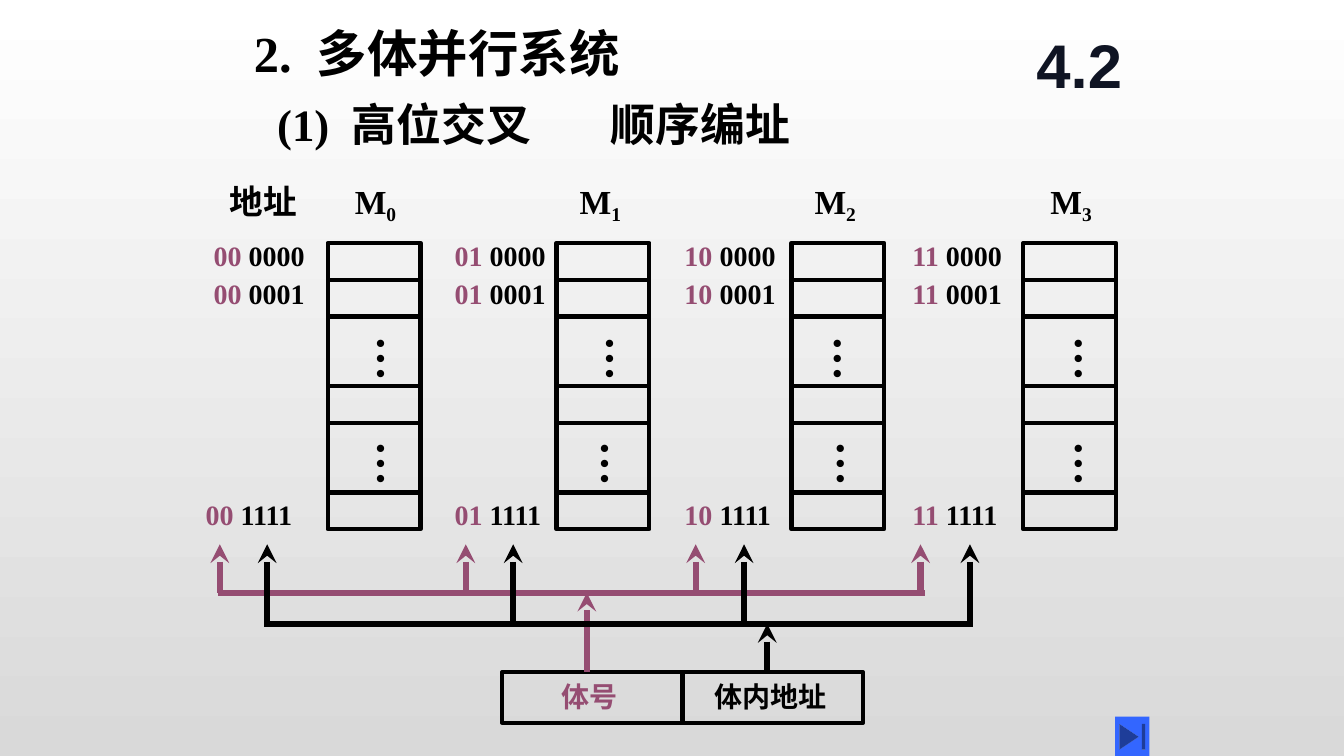
import pptx
import pptx.dml.color
import pptx.enum.shapes
import pptx.enum.text
import pptx.oxml.ns
import pptx.util
from lxml import etree

Inches = pptx.util.Inches
SHAPES = pptx.enum.shapes.MSO_SHAPE
ALIGN = pptx.enum.text.PP_ALIGN
ANCHOR = pptx.enum.text.MSO_ANCHOR
AUTO_SIZE = pptx.enum.text.MSO_AUTO_SIZE

# Content
BLACK, PURPLE, NAVY, BLUE = "000000", "954D72", "0F1423", "3366FF"
SERIF, SANS = "Times New Roman", "Arial"

HEADINGS = [  # number, title, left, top, width, height, size
    ("2.", "多体并行系统", 2.42, 0.17, 4, 0.71, 36),
    ("(1)", "高位交叉", 2.65, 0.91, 5.91, 0.64, 32),
]
BANKS = [  # bank number, label left, cells left, left of each ellipsis
    ("0", 3.42, 3.25, (3.5, 3.5)),
    ("1", 5.65, 5.52, (5.77, 5.72)),
    ("2", 7.98, 7.85, (8.03, 8.06)),
    ("3", 10.32, 10.15, (10.42, 10.42)),
]
CELL_TOP, CELL_WIDTH = 2.41, 0.92
CELL_HEIGHTS = [0.365, 0.365, 0.69, 0.365, 0.69, 0.365]
ELLIPSIS_TOPS = [3.24, 4.28]

ADDRESS_ROWS = [(" 0000", 2.32), (" 0001", 2.69), (" 1111", 4.89)]
ADDRESS_COLUMNS = [  # bank bits, left of each row
    ("00", (2.02, 2.02, 1.94)),
    ("01", (4.41, 4.41, 4.41)),
    ("10", (6.69, 6.69, 6.69)),
    ("11", (8.95, 8.95, 8.95)),
]
FIELDS = [  # text, colour, box left, text left, text width
    ("体号", PURPLE, 4.98, 5.47, 0.76),
    ("体内地址", BLACK, 6.77, 6.99, 1.31),
]
BUSES = [  # colour, height, left end, right end, arrows up, feed from the field
    (PURPLE, 5.88, 2.16, 9.17, (2.18, 4.62, 6.9, 9.13), 5.82),
    (BLACK, 6.19, 2.62, 9.65, (2.65, 5.09, 7.38, 9.62), 7.61),
]
ARROW_TOP, FIELD_TOP = 5.4, 6.67


# Helpers
def color(code):
    return pptx.dml.color.RGBColor.from_string(code)


def add_text(spans, left, top, width, height, size, font=SERIF, wrap=True):
    """Add one line of bold text; spans are (text, colour) pairs."""
    box = slide.shapes.add_textbox(Inches(left), Inches(top), Inches(width), Inches(height))
    frame = box.text_frame
    frame.word_wrap = wrap
    frame.auto_size = AUTO_SIZE.SHAPE_TO_FIT_TEXT
    for text, code in spans:
        span = frame.paragraphs[0].add_run()
        span.text = text
        span.font.size = pptx.util.Pt(size)
        span.font.name = font
        span.font.bold = True
        span.font.color.rgb = color(code)
    return frame


def add_box(left, top, width, height):
    box = slide.shapes.add_shape(
        SHAPES.RECTANGLE, Inches(left), Inches(top), Inches(width), Inches(height))
    box.shadow.inherit = False
    box.fill.background()
    box.line.color.rgb = color(BLACK)
    box.line.width = pptx.util.Pt(3)


def add_line(x1, y1, x2, y2, code, arrow=False):
    line = slide.shapes.add_connector(
        pptx.enum.shapes.MSO_CONNECTOR.STRAIGHT,
        Inches(x1), Inches(y1), Inches(x2), Inches(y2))
    line.line.color.rgb = color(code)
    line.line.width = pptx.util.Pt(4.5)
    if arrow:
        head = etree.SubElement(line.line._get_or_add_ln(), pptx.oxml.ns.qn("a:headEnd"))
        head.set("type", "stealth")
    etree.SubElement(line._element.spPr, pptx.oxml.ns.qn("a:effectLst"))


# Slide and background
deck = pptx.Presentation()
deck.slide_width, deck.slide_height = Inches(13.33), Inches(7.5)
slide = deck.slides.add_slide(deck.slide_layouts[6])
background = slide.background.fill
background.gradient()
background.gradient_angle = 270
for stop, code in zip(background.gradient_stops, ("FFFFFF", "D9D9D9")):
    stop.color.rgb = color(code)

# Headings, with a widened space after the number
for number, title, left, top, width, height, size in HEADINGS:
    frame = add_text([(number, BLACK), (" ", BLACK), (title, BLACK)],
                     left, top, width, height, size)
    gap = frame.paragraphs[0].runs[1]
    gap._r.get_or_add_rPr().set("spc", str(size * 25))
add_text([("顺序编址", BLACK)], 5.96, 0.91, 5.91, 0.64, 32)
frame = add_text([("4.2", NAVY)], 10.08, 0.17, 1.25, 0.92, 44, SANS)
frame.auto_size = AUTO_SIZE.NONE
frame.vertical_anchor = ANCHOR.MIDDLE
frame.paragraphs[0].alignment = ALIGN.CENTER

# Memory banks
for number, label_left, cell_left, ellipsis_lefts in BANKS:
    frame = add_text([("M", BLACK), (number, BLACK)], label_left, 1.75, 0.62, 0.5, 24, wrap=False)
    frame.paragraphs[0].runs[1]._r.get_or_add_rPr().set("baseline", "-20000")
    top = CELL_TOP
    for height in CELL_HEIGHTS:
        add_box(cell_left, top, CELL_WIDTH, height)
        top += height
    for left, top in zip(ellipsis_lefts, ELLIPSIS_TOPS):
        frame = add_text([("…", BLACK)], left, top, 0.74, 0.55, 32, wrap=False)
        frame._txBody.bodyPr.set("vert", "eaVert")

# Addresses
add_text([("地址", BLACK)], 2.18, 1.75, 0.87, 0.5, 24, wrap=False)
for bits, lefts in ADDRESS_COLUMNS:
    for left, (offset, top) in zip(lefts, ADDRESS_ROWS):
        add_text([(bits, PURPLE), (offset, BLACK)], left, top, 1.15, 0.44, 20)

# Address fields
for text, code, box_left, text_left, text_width in FIELDS:
    add_box(box_left, FIELD_TOP, 1.79, 0.5)
    add_text([(text, code)], text_left, 6.69, text_width, 0.44, 20, wrap=False)

# Buses with their arrows
for code, height, left, right, arrows, feed in BUSES:
    add_line(left, height, right, height, code)
    for x in arrows:
        add_line(x, ARROW_TOP, x, height, code, arrow=True)
    add_line(feed, height, feed, FIELD_TOP, code, arrow=True)

# End button
button = slide.shapes.add_shape(
    SHAPES.ACTION_BUTTON_END, Inches(11.06), Inches(7.11), Inches(0.34), Inches(0.4))
button.shadow.inherit = False
button.fill.solid()
button.fill.fore_color.rgb = color(BLUE)
button.line.fill.background()

deck.save("out.pptx")
